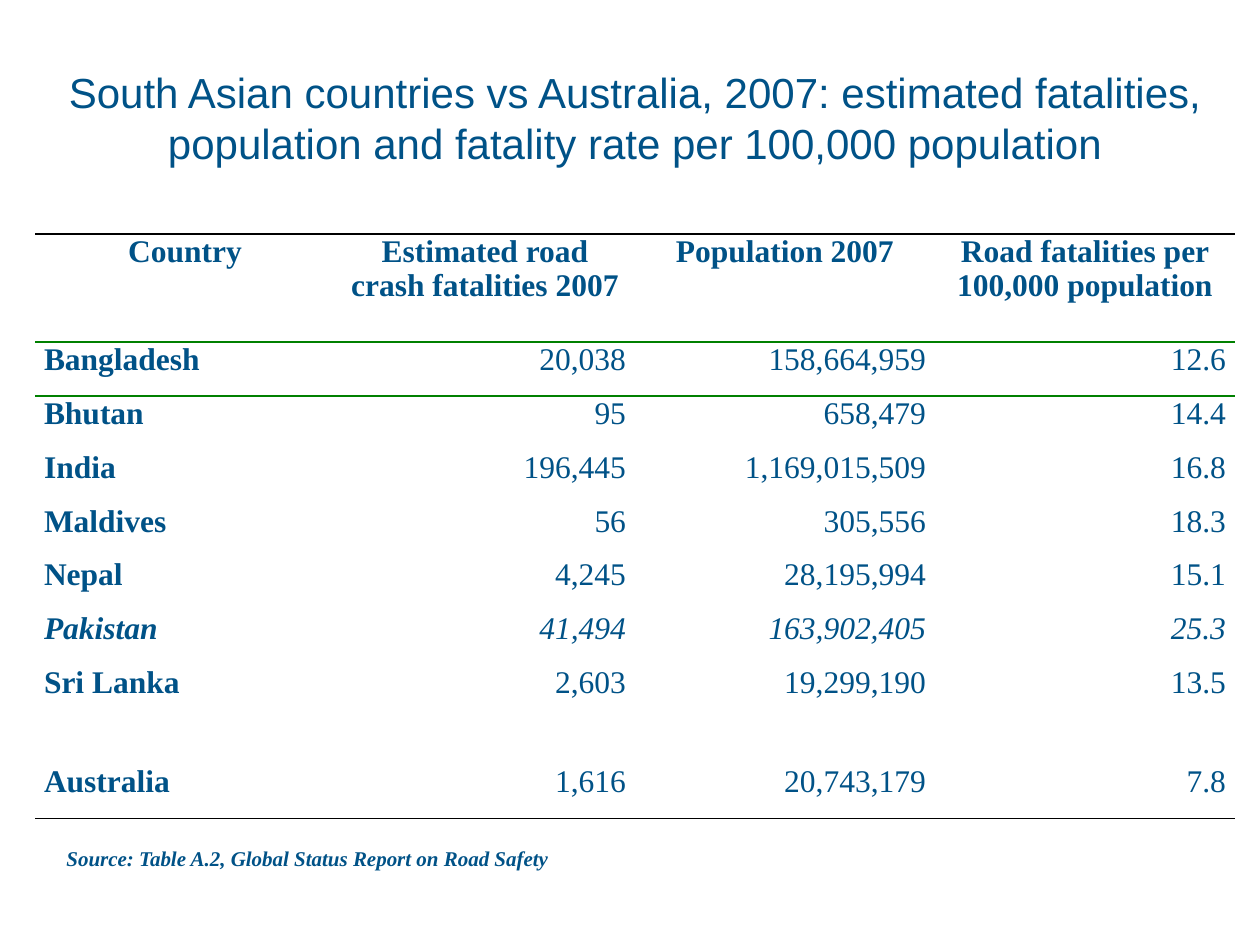
import pptx
import pptx.dml.color
import pptx.enum.text
import pptx.oxml
import pptx.oxml.ns
import pptx.util

PX = 914400 // 126
SERIF = "Times New Roman"
BLUE, BLACK, GREEN = "005287", "000000", "008000"
NO_GRID_STYLE = "{2D5ABB26-0587-4C30-8999-92F81FD0307C}"
ALIGN = pptx.enum.text.PP_ALIGN
MIDDLE = pptx.enum.text.MSO_ANCHOR.MIDDLE

TITLE = ("South Asian countries vs Australia, 2007: estimated fatalities, "
         "population and fatality rate per 100,000 population")
SOURCE = "Source: Table A.2, Global Status Report on Road Safety"
HEADER = ["Country", "Estimated road crash fatalities 2007",
          "Population 2007", "Road fatalities per 100,000 population"]
COUNTRIES = [
    ["Bangladesh", "20,038", "158,664,959", "12.6"],
    ["Bhutan", "95", "658,479", "14.4"],
    ["India", "196,445", "1,169,015,509", "16.8"],
    ["Maldives", "56", "305,556", "18.3"],
    ["Nepal", "4,245", "28,195,994", "15.1"],
    ["Pakistan", "41,494", "163,902,405", "25.3"],
    ["Sri Lanka", "2,603", "19,299,190", "13.5"],
]
AUSTRALIA = ["Australia", "1,616", "20,743,179", "7.8"]


def px(n):
    return pptx.util.Emu(n * PX)


def rgb(color):
    return pptx.dml.color.RGBColor.from_string(color)


def write(tf, text, size, font, align, bold=False, italic=False):
    tf.text = text
    p = tf.paragraphs[0]
    p.alignment = align
    for r in p.runs:
        r.font.size = pptx.util.Pt(size)
        r.font.name = font
        r.font.bold = bold
        r.font.italic = italic
        r.font.color.rgb = rgb(BLUE)


def add_text(s, x, y, w, h, text, size, font, align, wrap=True, **style):
    tf = s.shapes.add_textbox(px(x), px(y), px(w), px(h)).text_frame
    tf.word_wrap = wrap
    tf.vertical_anchor = MIDDLE
    write(tf, text, size, font, align, **style)


def add_border(cell, side, color):
    cell._tc.get_or_add_tcPr().append(pptx.oxml.parse_xml(
        f'<a:ln{side} {pptx.oxml.ns.nsdecls("a")} w="12700"><a:solidFill>'
        f'<a:srgbClr val="{color}"/></a:solidFill></a:ln{side}>'))


def add_fatality_table(s, x, y, w):
    # An empty row sets Australia apart from the South Asian countries
    rows = [HEADER, *COUNTRIES, [""] * len(HEADER), AUSTRALIA]
    last, gap = len(rows) - 1, len(rows) - 2
    heights = [108] + [54] * len(COUNTRIES) + [45, 54]
    table = s.shapes.add_table(len(rows), len(HEADER), px(x), px(y),
                               px(w), px(sum(heights))).table
    table.first_row = table.horz_banding = False
    style = table._tbl.tblPr.find(pptx.oxml.ns.qn("a:tableStyleId"))
    style.text = NO_GRID_STYLE
    for column in table.columns:
        column.width = px(w // len(HEADER))

    # Rules above and below the header, and below the last row
    borders = {0: [("T", BLACK), ("B", GREEN)], 1: [("T", GREEN)],
               last: [("B", BLACK)]}
    for i, values in enumerate(rows):
        table.rows[i].height = px(heights[i])
        for j, value in enumerate(values):
            cell = table.cell(i, j)
            cell.margin_left = cell.margin_right = px(9)
            cell.margin_top = cell.margin_bottom = 0
            for side, color in borders.get(i, []):
                add_border(cell, side, color)
            cell.fill.background()
            align = (ALIGN.CENTER if i == 0 else
                     ALIGN.LEFT if j == 0 else ALIGN.RIGHT)
            write(cell.text_frame, value, 18, SERIF, align,
                  bold=i == 0 or j == 0, italic=values[0] == "Pakistan")
    table.cell(gap, 0).merge(table.cell(gap, len(HEADER) - 1))


def main():
    prs = pptx.Presentation()
    prs.slide_width, prs.slide_height = px(1260), px(945)
    s = prs.slides.add_slide(prs.slide_layouts[6])

    # Title
    add_text(s, 35, 38, 1200, 158, TITLE, 24, "Arial", ALIGN.CENTER)
    # Fatalities by country
    add_fatality_table(s, 35, 234, 1200)
    # Source note
    add_text(s, 54, 839, 518, 38, SOURCE, 12, SERIF, ALIGN.LEFT,
             wrap=False, bold=True, italic=True)

    prs.save("out.pptx")


if __name__ == "__main__":
    main()
